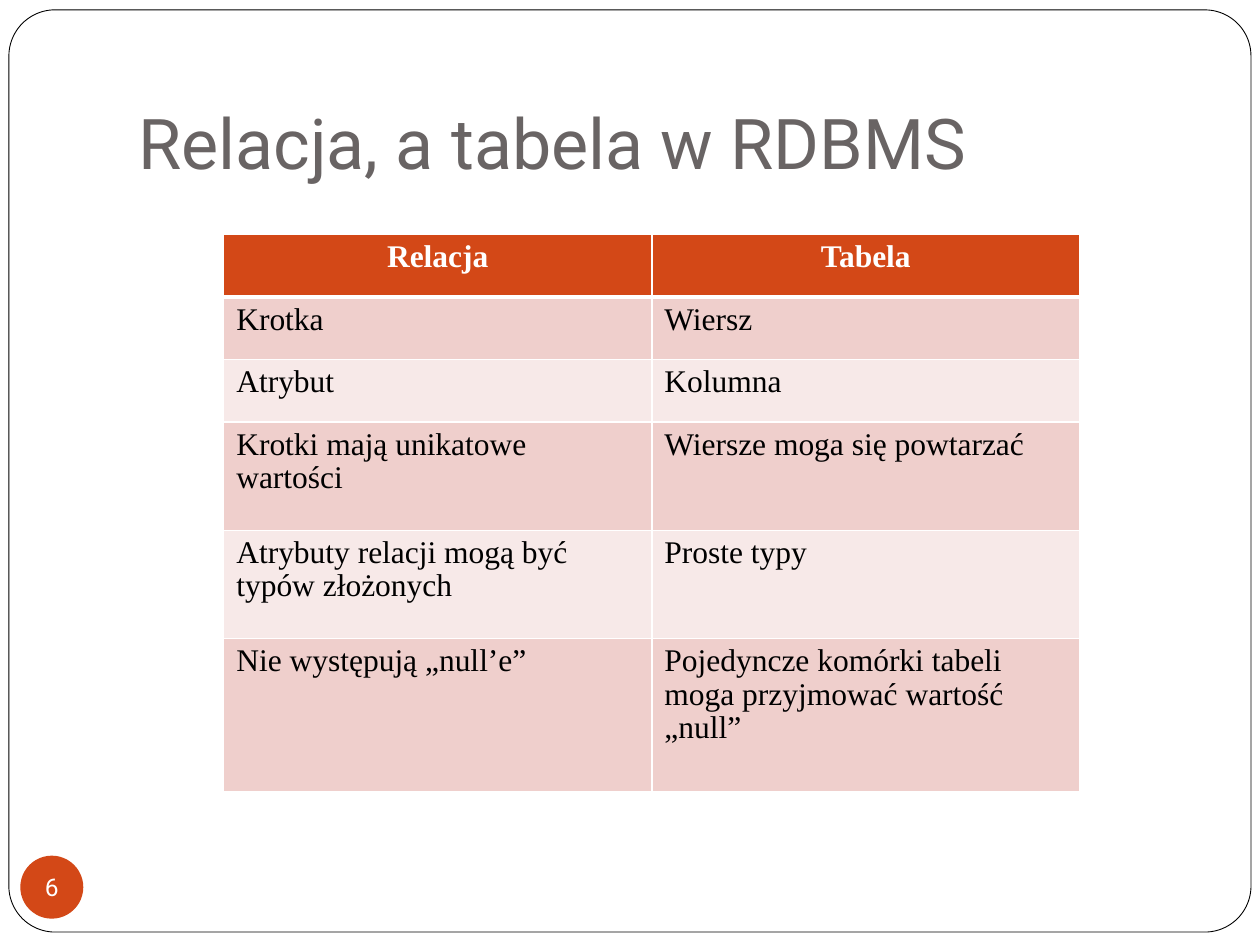
from lxml.etree import SubElement
from pptx import Presentation
from pptx.dml.color import RGBColor
from pptx.enum.shapes import MSO_SHAPE
from pptx.enum.text import MSO_ANCHOR, PP_ALIGN
from pptx.oxml.ns import qn
from pptx.util import Cm, Pt

# Content
TITLE = "Relacja, a tabela w RDBMS"
NUMBER = "6"
ROWS = [
    ("Relacja", "Tabela"),
    ("Krotka", "Wiersz"),
    ("Atrybut", "Kolumna"),
    ("Krotki mają unikatowe wartości", "Wiersze moga się powtarzać"),
    ("Atrybuty relacji mogą być typów złożonych", "Proste typy"),
    ("Nie występują „null’e”",
     "Pojedyncze komórki tabeli moga przyjmować wartość „null”"),
]
HEIGHTS = [1.26, 1.26, 1.26, 2.18, 2.18, 3.1]
WIDTH = 8.63


class Theme:
    white, black, gray = "FFFFFF", "000000", "696464"
    accent, dark, light = "D34817", "EFCFCC", "F7E9E8"
    sans, serif = "Roboto", "Times New Roman"
    title, body, small = 40, 18, 14


def write(frame, text, size, font, color, bold=False, align=PP_ALIGN.LEFT,
          anchor=MSO_ANCHOR.TOP, pads=None, wrap=True, space=None):
    frame.word_wrap = wrap
    frame.vertical_anchor = anchor
    if pads:
        (frame.margin_left, frame.margin_top,
         frame.margin_right, frame.margin_bottom) = map(Cm, pads)
    para = frame.paragraphs[0]
    para.alignment = align
    para.line_spacing = space
    run = para.add_run()
    run.text = text
    run.font.size, run.font.name, run.font.bold = Pt(size), font, bold
    run.font.color.rgb = RGBColor.from_string(color)


def draw(slide, kind, box, fill, line=None):
    shape = slide.shapes.add_shape(kind, *map(Cm, box))
    shape.shadow.inherit = False
    shape.fill.solid()
    shape.fill.fore_color.rgb = RGBColor.from_string(fill)
    if line:
        shape.line.color.rgb = RGBColor.from_string(line)
        shape.line.width = Pt(0.5)
    else:
        shape.line.fill.background()
    return shape


def paint(cell, fill, widths):
    # Borders come before the fill in the cell properties
    props = cell._tc.get_or_add_tcPr()
    for side, width in widths.items():
        edge = SubElement(props, qn(f"a:ln{side}"), w=str(Pt(width)))
        solid = SubElement(edge, qn("a:solidFill"))
        SubElement(solid, qn("a:srgbClr"), val=Theme.white)
    cell.fill.solid()
    cell.fill.fore_color.rgb = RGBColor.from_string(fill)


def main():
    deck = Presentation()
    deck.slide_width, deck.slide_height = Cm(25.4), Cm(19.05)
    slide = deck.slides.add_slide(deck.slide_layouts[6])

    # Frame
    frame = draw(slide, MSO_SHAPE.ROUNDED_RECTANGLE,
                 (0.18, 0.2, 25.04, 18.59), Theme.white, Theme.black)
    frame.adjustments[0] = 0.05

    # Title
    box = slide.shapes.add_textbox(Cm(2.54), Cm(0.76), Cm(21.59), Cm(3.18))
    write(box.text_frame, TITLE, Theme.title, Theme.sans, Theme.gray,
          anchor=MSO_ANCHOR.BOTTOM, pads=(0.25, 0.13, 0.25, 0.25))

    # Table
    table = slide.shapes.add_table(
        len(ROWS), 2, Cm(4.51), Cm(4.73), Cm(2 * WIDTH), Cm(sum(HEIGHTS))).table
    for col in table.columns:
        col.width = Cm(WIDTH)
    for i, (texts, height) in enumerate(zip(ROWS, HEIGHTS)):
        table.rows[i].height = Cm(height)
        head = i == 0
        fill = Theme.accent if head else Theme.dark if i % 2 else Theme.light
        edges = {"L": 1, "R": 1, "T": 3 if i == 1 else 1, "B": 3 if head else 1}
        for j, text in enumerate(texts):
            cell = table.cell(i, j)
            paint(cell, fill, edges)
            write(cell.text_frame, text, Theme.body, Theme.serif,
                  Theme.white if head else Theme.black, bold=head, space=0.96,
                  align=PP_ALIGN.CENTER if head else PP_ALIGN.LEFT)

    # Slide number
    badge = draw(slide, MSO_SHAPE.OVAL, (0.41, 17.25, 1.27, 1.27), Theme.accent)
    write(badge.text_frame, NUMBER, Theme.small, Theme.sans, Theme.white,
          align=PP_ALIGN.CENTER, anchor=MSO_ANCHOR.MIDDLE,
          pads=(0, 0, 0, 0), wrap=False)

    deck.save("out.pptx")


if __name__ == "__main__":
    main()
